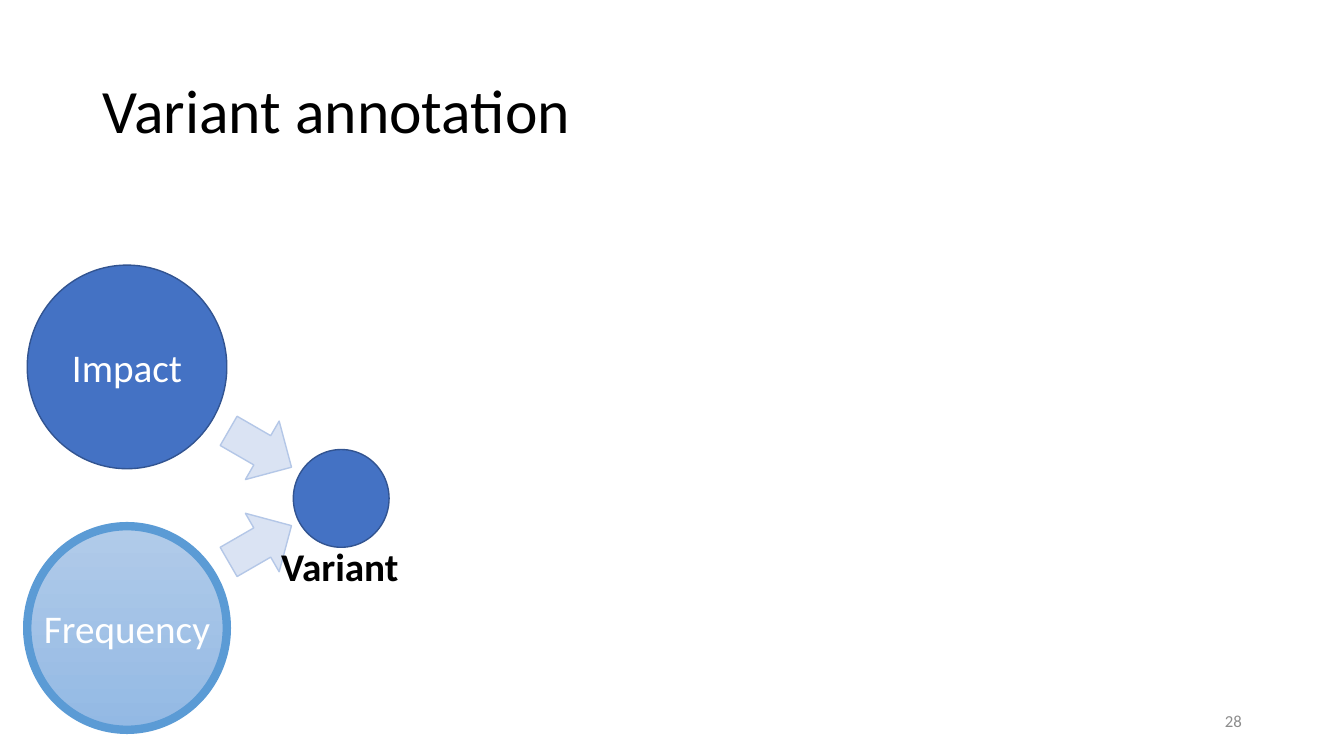
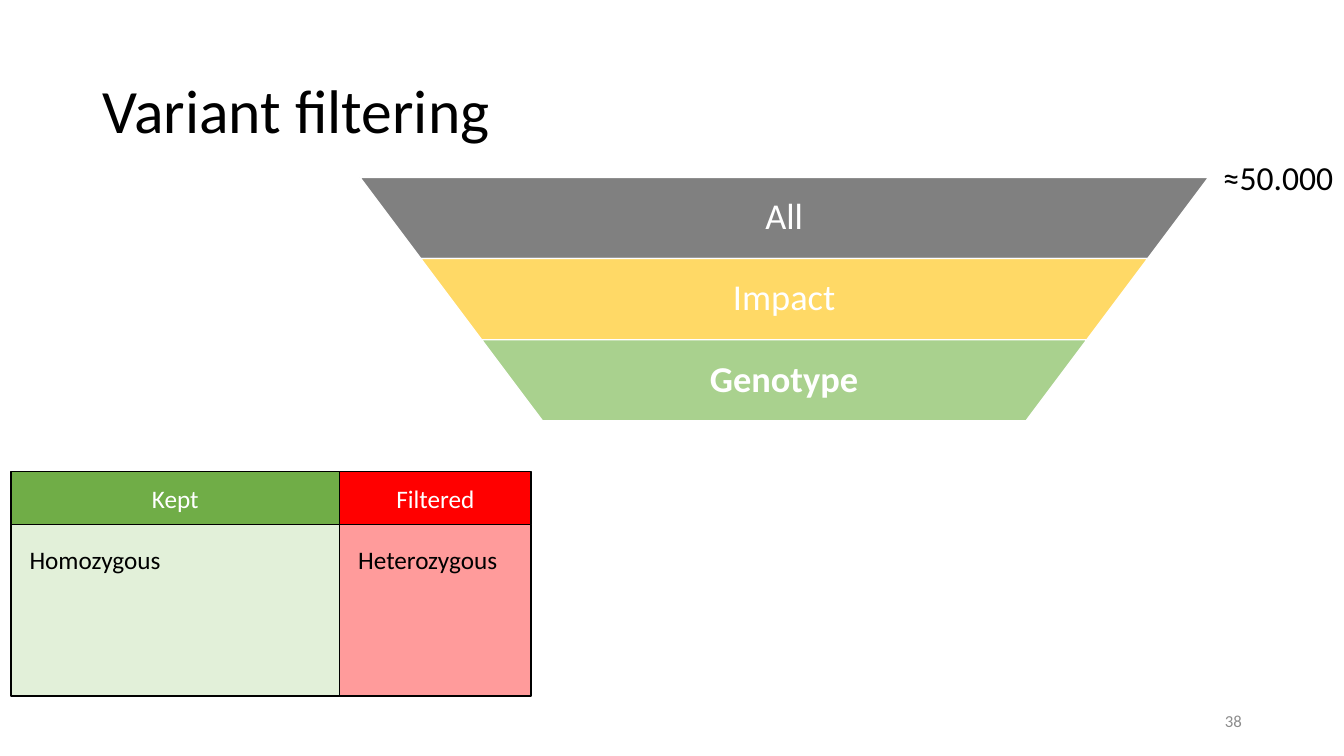
from dataclasses import dataclass

import pptx
import pptx.dml.color
import pptx.enum.shapes
import pptx.enum.text
import pptx.util

SHAPE = pptx.enum.shapes.MSO_SHAPE
ALIGN = pptx.enum.text.PP_ALIGN
ANCHOR = pptx.enum.text.MSO_ANCHOR

# The grid: 40 columns by 30 rows
WIDTH, HEIGHT = pptx.util.Inches(13.333), pptx.util.Inches(7.5)
COL, ROW = WIDTH / 40, HEIGHT / 30
FONT = "Calibri"
TITLE_ONLY = 5

COLORS = {
    "white": "FFFFFF", "black": "000000", "page": "8C8C8C",
    "blue": "4472C4", "blue edge": "325491",
    "sky top": "B1CBE9", "sky bottom": "93B9E4", "sky edge": "5B9BD5",
    "arrow": "DAE3F3", "arrow edge": "B4C7E7",
    "gray": "808080", "yellow": "FFD966", "light green": "A9D18E",
    "green": "70AD47", "pale green": "E2F0D9",
    "red": "FF0000", "pale red": "FF9B9B",
}


@dataclass
class Box:
    """An area in grid columns and rows."""
    col: float
    row: float
    cols: float
    rows: float

    def emu(self) -> tuple[int, ...]:
        return (round(self.col * COL), round(self.row * ROW),
                round(self.cols * COL), round(self.rows * ROW))


@dataclass
class Band:
    text: str
    fill: str
    bold: bool = False


@dataclass
class Column:
    """One column of the kept/filtered panel."""
    col: float
    cols: float
    head: str
    head_fill: str
    body: str
    body_fill: str


TITLE = Box(2.76, 1.6, 34.5, 5.8)
PAGE = Box(28.26, 27.8, 9, 1.6)

BANDS = [
    Band("All", "gray"),
    Band("Impact", "yellow"),
    Band("Genotype", "light green", bold=True),
]
FUNNEL_TOP = Box(10.71, 7.04, 25.26, 3.22)
FUNNEL_TILT = 0.75

COLUMNS = [
    Column(10.11, 5.7, "Filtered", "red", "Heterozygous", "pale red"),
    Column(0.33, 9.78, "Kept", "green", "Homozygous", "pale green"),
]
HEAD_ROW, HEAD_ROWS, BODY_ROWS = 18.72, 2.1, 6.8


def rgb(name: str) -> pptx.dml.color.RGBColor:
    return pptx.dml.color.RGBColor.from_string(COLORS[name])


def write(sp, text: str, *, size: float, color: str = "white", bold: bool = False,
          align=ALIGN.CENTER, anchor=ANCHOR.MIDDLE, wrap: bool = True,
          spacing: float = 1.0) -> None:
    tf = sp.text_frame
    tf.auto_size = pptx.enum.text.MSO_AUTO_SIZE.NONE
    tf.word_wrap = wrap
    tf.vertical_anchor = anchor
    p = tf.paragraphs[0]
    p.alignment = align
    p.line_spacing = spacing
    r = p.add_run()
    r.text = text
    r.font.name = FONT
    r.font.size = pptx.util.Pt(size)
    r.font.bold = bold
    r.font.color.rgb = rgb(color)


def add_text(s, box: Box, text: str, **style) -> None:
    write(s.shapes.add_textbox(*box.emu()), text, **style)


def add_shape(s, kind, box: Box, fill: str, line: str, *, line_width: float = 1,
              fill_end: str = "", rotation: float = 0):
    """Add a preset shape; fill_end makes the fill a downward gradient."""
    sp = s.shapes.add_shape(kind, *box.emu())
    sp.shadow.inherit = False
    sp.rotation = rotation
    if fill_end:
        sp.fill.gradient()
        sp.fill.gradient_angle = 270
        for stop, name in zip(sp.fill.gradient_stops, (fill, fill_end)):
            stop.color.rgb = rgb(name)
    else:
        sp.fill.solid()
        sp.fill.fore_color.rgb = rgb(fill)
    sp.line.color.rgb = rgb(line)
    sp.line.width = pptx.util.Pt(line_width)
    return sp


def add_slide(prs, title: str, page: int):
    s = prs.slides.add_slide(prs.slide_layouts[TITLE_ONLY])
    sp = s.shapes.title
    sp.left, sp.top, sp.width, sp.height = TITLE.emu()
    write(sp, title, size=44, color="black", align=ALIGN.LEFT, spacing=0.9)
    add_text(s, PAGE, str(page), size=12, color="page", align=ALIGN.RIGHT)
    return s


def add_funnel(s) -> None:
    top = FUNNEL_TOP
    inset = FUNNEL_TILT * top.rows * ROW / COL
    for i, band in enumerate(BANDS):
        box = Box(top.col + i * inset, top.row + i * top.rows,
                  top.cols - 2 * i * inset, top.rows)
        sp = add_shape(s, SHAPE.TRAPEZOID, box, band.fill, "white", rotation=180)
        sp.adjustments[0] = FUNNEL_TILT
        add_text(s, box, band.text, size=26, bold=band.bold, spacing=0.9)


def add_panel(s) -> None:
    for column in COLUMNS:
        head = Box(column.col, HEAD_ROW, column.cols, HEAD_ROWS)
        body = Box(column.col, HEAD_ROW + HEAD_ROWS, column.cols, BODY_ROWS)
        sp = add_shape(s, SHAPE.RECTANGLE, body, column.body_fill, "black")
        write(sp, column.body, size=18, color="black", align=ALIGN.LEFT,
              anchor=ANCHOR.TOP)
        sp.text_frame.margin_left = round(0.55 * COL)
        sp.text_frame.margin_top = round(0.76 * ROW)
        sp = add_shape(s, SHAPE.RECTANGLE, head, column.head_fill, "black")
        write(sp, column.head, size=18)


def build_annotation(prs) -> None:
    s = add_slide(prs, "Variant annotation", 28)
    add_shape(s, SHAPE.OVAL, Box(8.73, 17.84, 2.85, 3.88), "blue", "blue edge")
    impact = add_shape(s, SHAPE.OVAL, Box(0.81, 10.52, 5.94, 8.08),
                       "blue", "blue edge")
    write(impact, "Impact", size=28)
    frequency = add_shape(s, SHAPE.OVAL, Box(0.81, 20.88, 5.94, 8.08), "sky top",
                          "sky edge", line_width=6, fill_end="sky bottom")
    write(frequency, "Frequency", size=28, wrap=False)
    for row, rotation in ((16.48, 30), (20.24, 330)):
        add_shape(s, SHAPE.RIGHT_ARROW, Box(6.66, row, 2.16, 2.68),
                  "arrow", "arrow edge", rotation=rotation)
    add_text(s, Box(8.07, 21.32, 4.14, 2.28), "Variant", size=28, color="black",
             bold=True, align=ALIGN.LEFT, anchor=ANCHOR.TOP, wrap=False)


def build_filtering(prs) -> None:
    s = add_slide(prs, "Variant filtering", 38)
    add_funnel(s)
    add_text(s, Box(36.09, 6.04, 3.9, 2), "≈50.000", size=24, color="black",
             anchor=ANCHOR.TOP, wrap=False)
    add_panel(s)


def main() -> None:
    prs = pptx.Presentation()
    prs.slide_width, prs.slide_height = WIDTH, HEIGHT
    build_annotation(prs)
    build_filtering(prs)
    prs.save("out.pptx")


if __name__ == "__main__":
    main()
